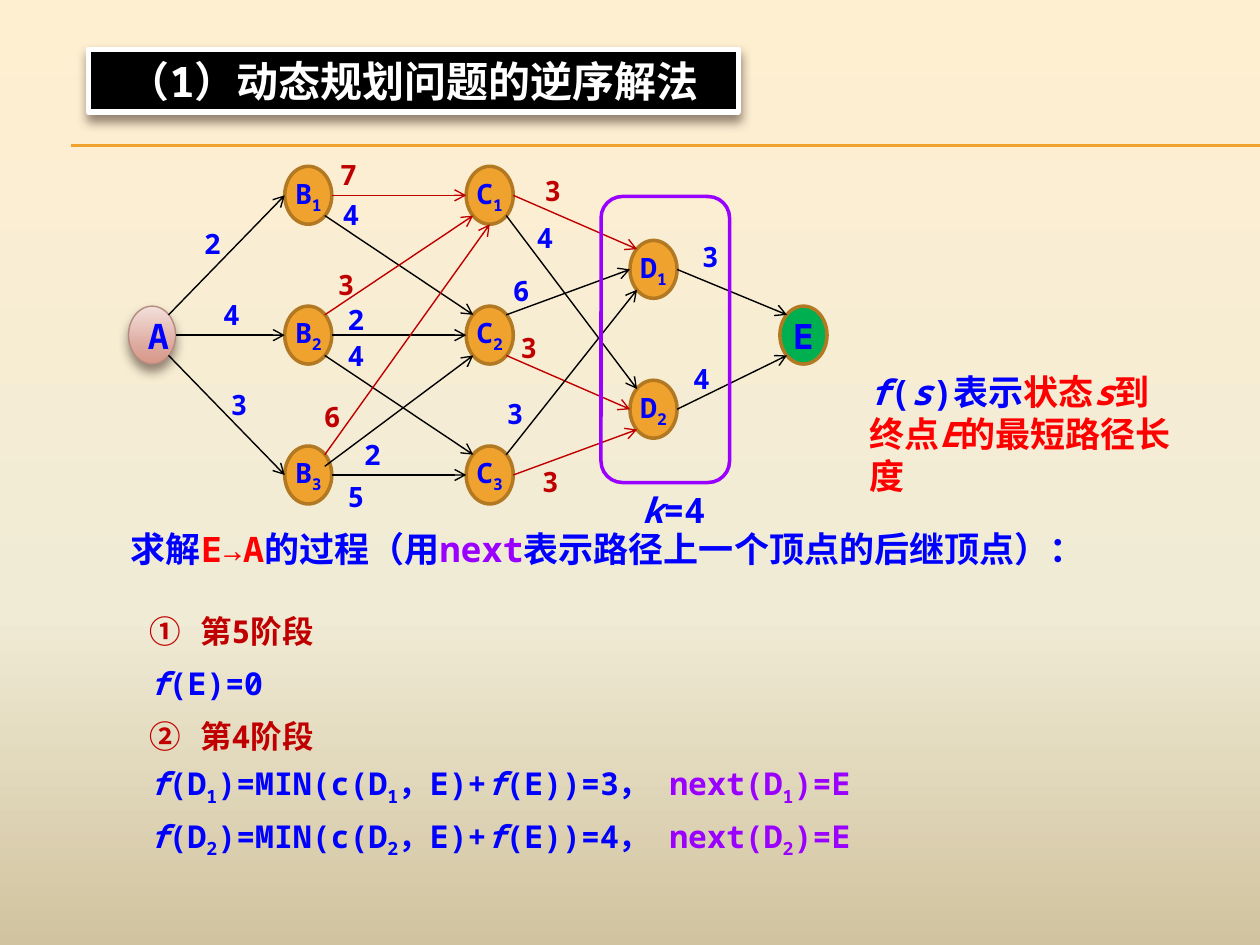
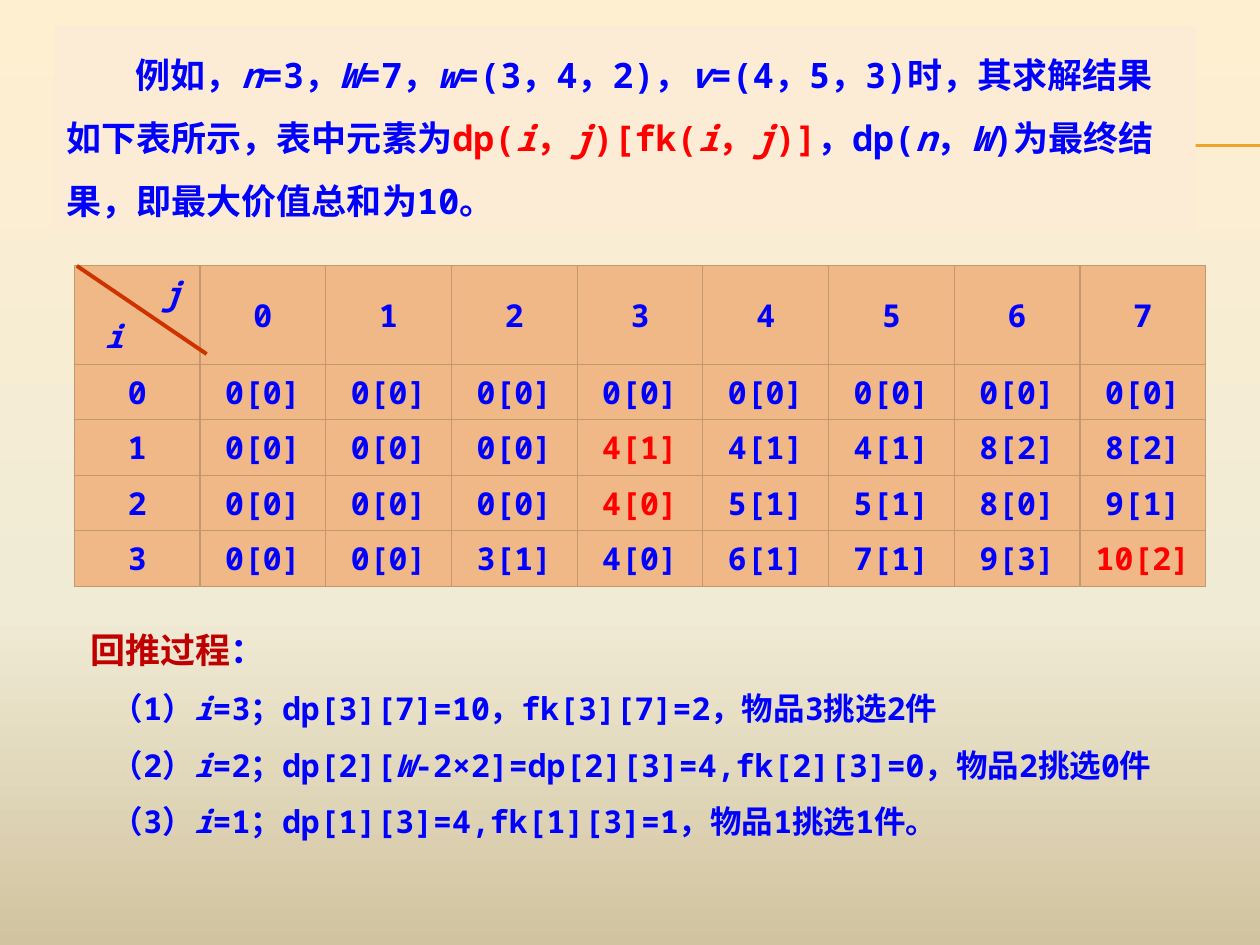
from copy import deepcopy
from lxml.etree import SubElement as Sub
from pptx import Presentation
from pptx.dml.color import RGBColor as Rgb
from pptx.enum.lang import MSO_LANGUAGE_ID as Lang
from pptx.enum.shapes import MSO_CONNECTOR as Wire, MSO_SHAPE as Form
from pptx.enum.text import MSO_ANCHOR as Anchor, PP_ALIGN as Align
from pptx.oxml.ns import qn
from pptx.util import Inches, Pt

FONT = "Noto Sans Mono"
BLUE = Rgb(0x00, 0x00, 0xFF)
RED = Rgb(0xFF, 0x00, 0x00)
DARK = Rgb(0xC0, 0x00, 0x00)
PLUM = Rgb(0x99, 0x00, 0xFF)
BLACK = Rgb(0x00, 0x00, 0x00)
WHITE = Rgb(0xFF, 0xFF, 0xFF)
GOLD = Rgb(0xF0, 0xA2, 0x2E)
BROWN = Rgb(0xB2, 0x78, 0x22)
GREEN = Rgb(0x00, 0xB0, 0x50)
ROSE = Rgb(0xB5, 0x8B, 0x80)
CREAM = Rgb(0xFC, 0xEC, 0xD5)
PEACH = Rgb(0xF0, 0xB7, 0x87)
TAN = Rgb(0xC3, 0x98, 0x6D)
RUST = Rgb(0xCC, 0x33, 0x00)
SAND = [(0, Rgb(0xFF, 0xEF, 0xD1)), (0.65, Rgb(0xF0, 0xEB, 0xD5)),
        (1, Rgb(0xD1, 0xC3, 0x9F))]
BLUSH = [(0, Rgb(0xF3, 0xE0, 0xDB)), (0.72, Rgb(0xDC, 0xA7, 0x9B)),
         (1, Rgb(0xD8, 0x97, 0x87))]

WIDE, HIGH = Inches(10), Inches(7.5)
UNIT = WIDE // 100
SPAN, TALL = 3.74, 4.6
COLS = {"A": 10.2, "B": 22.6, "C": 37, "D": 50, "E": 61.9}
TOP, STEP = 13.2, 11.1
ROWS = {"A": 1, "E": 1, "D1": 0.53, "D2": 1.53,
        **{c + str(n + 1): n for c in "BC" for n in range(3)}}
PORTS = {"e": (1, 0), "w": (-1, 0), "s": (0, 1), "ne": (0.7, -0.7),
         "se": (0.7, 0.7), "nw": (-0.7, -0.7), "sw": (-0.7, 0.7),
         "en": (0.7, -0.3)}
EDGES = [
    ("A", "ne", "B1", "w", 2, 16.2, 18, BLUE),
    ("A", "e", "B2", "w", 4, 17.7, 23.6, BLUE),
    ("A", "se", "B3", "w", 3, 18.3, 30.8, BLUE),
    ("B1", "e", "C1", "w", 7, 27, 12.5, DARK),
    ("B1", "se", "C2", "nw", 4, 27.2, 15.7, BLUE),
    ("B2", "ne", "C1", "sw", 3, 26.8, 21.2, DARK),
    ("B2", "e", "C2", "w", 2, 27.6, 24, BLUE),
    ("B2", "se", "C3", "nw", 4, 27.6, 26.9, BLUE),
    ("B3", "ne", "C1", "s", 6, 25.7, 31.7, DARK),
    ("B3", "en", "C2", "sw", 2, 28.9, 34.7, BLUE),
    ("B3", "e", "C3", "w", 5, 27.6, 38.1, BLUE),
    ("C1", "e", "D1", "nw", 3, 43.2, 13.8, DARK),
    ("C1", "se", "D2", "nw", 4, 42.6, 17.5, BLUE),
    ("C2", "ne", "D1", "w", 6, 40.7, 21.7, BLUE),
    ("C2", "se", "D2", "w", 3, 41.3, 26.2, DARK),
    ("C3", "ne", "D1", "sw", 3, 40.2, 31.5, BLUE),
    ("C3", "e", "D2", "sw", 3, 43, 36.9, DARK),
    ("D1", "e", "E", "nw", 3, 55.7, 19, BLUE),
    ("D2", "e", "E", "sw", 4, 55, 28.7, BLUE),
]
GRID = [
    "0[0] 0[0] 0[0] 0[0] 0[0] 0[0] 0[0] 0[0]",
    "0[0] 0[0] 0[0] 4[1] 4[1] 4[1] 8[2] 8[2]",
    "0[0] 0[0] 0[0] 4[0] 5[1] 5[1] 8[0] 9[1]",
    "0[0] 0[0] 3[1] 4[0] 6[1] 7[1] 9[3] 10[2]",
]
TRACE = {(2, 4), (3, 4), (4, 8)}


def place(*units):
    return [round(u * UNIT) for u in units]


def blend(owner, fill, stops):
    fill.gradient()
    fill.gradient_angle = 270
    bands = owner._element.find(".//" + qn("a:gsLst"))
    bands.insert(1, deepcopy(bands[0]))
    for stop, (pos, hue) in zip(fill.gradient_stops, stops):
        stop.position = pos
        stop.color.rgb = hue


def add_run(para, text, size, hue, slant=False, sub=False):
    if not text:
        return
    run = para.add_run()
    run.text = text
    font = run.font
    font.name, font.size, font.bold, font.italic = FONT, Pt(size), True, slant
    font.color.rgb = hue
    font.language_id = Lang.SIMPLIFIED_CHINESE
    Sub(run._r.rPr, qn("a:ea"), typeface=FONT)
    if sub:
        run._r.rPr.set("baseline", "-25000")


def fill_line(para, parts, size, align=None, space=None, dent=0):
    """Stars switch italics on and off; an underscore lowers one letter."""
    para.alignment, para.line_spacing = align, space
    if dent:
        props = para._p.get_or_add_pPr()
        props.set("marL", "0")
        props.set("indent", str(round(dent * UNIT)))
    for text, hue in parts:
        for turn, piece in enumerate(text.split("*")):
            head, *rest = piece.split("_")
            add_run(para, head, size, hue, turn % 2)
            for low in rest:
                add_run(para, low[0], size, hue, turn % 2, True)
                add_run(para, low[1:], size, hue, turn % 2)


def write(frame, lines, size, **look):
    frame.word_wrap = True
    for n, parts in enumerate(lines):
        para = frame.add_paragraph() if n else frame.paragraphs[0]
        fill_line(para, parts, size, **look)


def add_text(slide, box, lines, size, pad=None, **look):
    frame = slide.shapes.add_textbox(*place(*box)).text_frame
    if pad is not None:
        frame.margin_left = frame.margin_right = pad
        frame.margin_top = frame.margin_bottom = pad
    write(frame, lines, size, **look)
    return frame


def paint(shape, fill=None, edge=None, thick=1):
    shape.shadow.inherit = False
    if fill is None:
        shape.fill.background()
    elif isinstance(fill, list):
        blend(shape, shape.fill, fill)
    else:
        shape.fill.solid()
        shape.fill.fore_color.rgb = fill
    if edge is None:
        shape.line.fill.background()
    else:
        shape.line.color.rgb = edge
        shape.line.width = Pt(thick)


def cast(shape):
    glow = shape._element.spPr.find(qn("a:effectLst"))
    drop = Sub(glow, qn("a:outerShdw"), blurRad=str(Pt(6)), dist=str(Pt(4)),
               dir="5400000", rotWithShape="0")
    tint = Sub(drop, qn("a:srgbClr"), val="4E3B30")
    Sub(tint, qn("a:alpha"), val="60000")


def add_line(slide, start, end, hue, thick, arrow=False):
    wire = slide.shapes.add_connector(Wire.STRAIGHT, *place(*start, *end))
    wire.line.color.rgb = hue
    wire.line.width = Pt(thick)
    props = wire._element.spPr
    if arrow:
        Sub(props.find(qn("a:ln")), qn("a:tailEnd"), type="arrow")
    Sub(props, qn("a:effectLst"))


def add_page(deck, layout):
    slide = deck.slides.add_slide(deck.slide_layouts[layout])
    blend(slide, slide.background.fill, SAND)
    for y in (11.5, 11.6):
        add_line(slide, (5.6, y), (100, y), GOLD, 0.75)
    return slide


def add_title(slide, text, box):
    title = slide.shapes.title
    title.left, title.top, title.width, title.height = place(*box)
    paint(title, BLACK, WHITE, 3)
    cast(title)
    title.text_frame.vertical_anchor = Anchor.MIDDLE
    write(title.text_frame, [[(text, WHITE)]], 24, align=Align.CENTER)


def corner(name):
    return COLS[name[0]], TOP + STEP * ROWS[name]


def port(name, side):
    x, y = corner(name)
    dx, dy = PORTS[side]
    return x + SPAN / 2 * (1 + dx), y + TALL / 2 * (1 + dy)


def add_node(slide, name):
    node = slide.shapes.add_shape(Form.OVAL, *place(*corner(name), SPAN, TALL))
    frame = node.text_frame
    frame.vertical_anchor = Anchor.MIDDLE
    if name == "A":
        paint(node, BLUSH, ROSE, 0.79)
        cast(node)
    else:
        paint(node, GREEN if name == "E" else GOLD, BROWN, 2)
        frame.margin_left = frame.margin_right = 0
    label, size = (name, 20) if len(name) == 1 else ("_".join(name), 16)
    write(frame, [[(label, BLUE)]], size, align=Align.CENTER)


def add_graph(slide):
    for name in ROWS:
        add_node(slide, name)
    for a, out, b, into, cost, x, y, hue in EDGES:
        add_line(slide, port(a, out), port(b, into),
                 DARK if hue == DARK else BLACK, 0.79, True)
        add_text(slide, (x, y, 1.9, 2.7), [[(str(cost), hue)]], 16, pad=0)
    stage = slide.shapes.add_shape(Form.ROUNDED_RECTANGLE,
                                   *place(47.7, 15.6, 10.2, 22.7))
    paint(stage, None, PLUM, 2)
    add_text(slide, (50, 38.3, 7, 4.4), [[("*k*=4", BLUE)]], 20)


def frame_cell(cell):
    props = cell._tc.get_or_add_tcPr()
    for n, side in enumerate(("lnL", "lnR", "lnT", "lnB")):
        edge = Sub(props, qn("a:" + side), w=str(Pt(0.79)))
        Sub(Sub(edge, qn("a:solidFill")), qn("a:srgbClr"), val=str(TAN))
        props.insert(n, edge)


def add_grid(slide, box):
    rows = [["", *"01234567"]]
    rows += [[str(n), *row.split()] for n, row in enumerate(GRID)]
    table = slide.shapes.add_table(len(rows), len(rows[0]), *place(*box)).table
    table.first_row = table.horz_banding = False
    for r, row in enumerate(rows):
        table.rows[r].height = place(4 if r else 7)[0]
        for c, text in enumerate(row):
            cell = table.cell(r, c)
            cell.fill.solid()
            cell.fill.fore_color.rgb = PEACH
            cell.vertical_anchor = Anchor.MIDDLE
            frame_cell(cell)
            hue = RED if (r, c) in TRACE else BLUE
            fill_line(cell.text_frame.paragraphs[0], [(text, hue)], 18,
                      align=Align.CENTER)
    head = table.cell(0, 0).text_frame
    fill_line(head.paragraphs[0], [("*j*", BLUE)], 18, dent=6)
    fill_line(head.add_paragraph(), [("*i*", BLUE)], 18, dent=1.4)
    x, y = box[:2]
    add_line(slide, (x + 0.2, y), (x + 10.5, y + 7), RUST, 2.25)


def build_stages(deck):
    slide = add_page(deck, 5)
    add_title(slide, "（1）动态规划问题的逆序解法", (7, 3.9, 51.6, 5))
    add_text(slide, (9.4, 41.4, 87.5, 4.4),
             [[("求解", BLUE), ("E→A", RED), ("的过程（用", BLUE), ("next", PLUM),
               ("表示路径上一个顶点的后继顶点）：", BLUE)]], 20)
    add_graph(slide)
    steps = [[("① 第5阶段", DARK)], [("*f*(E)=0", BLUE)], [("② 第4阶段", DARK)]]
    for n, best in ((1, 3), (2, 4)):
        steps.append([(f"*f*(D_{n})=MIN(c(D_{n}，E)+*f*(E))={best}， ", BLUE),
                      (f"next(D_{n})=E", PLUM)])
    add_text(slide, (10.9, 46.9, 61.7, 22), steps, 18, space=Pt(30))
    add_text(slide, (68, 28.9, 26.6, 7.7),
             [[("*f*(*s*)表示", BLUE), ("状态*s*到终点*E*的最短路径长度", RED)]], 20)


def build_table(deck):
    slide = add_page(deck, 6)
    panel = slide.shapes.add_shape(Form.RECTANGLE, *place(4.3, 2.1, 90.6, 16.2))
    paint(panel, CREAM)
    panel.text_frame.vertical_anchor = Anchor.TOP
    write(panel.text_frame,
          [[("例如，*n*=3，*W*=7，*w*=(3，4，2)，*v*=(4，5，3)时，"
             "其求解结果如下表所示，表中元素为", BLUE),
            ("dp(*i*，*j*)[fk(*i*，*j*)]", RED),
            ("，dp(*n*，*W*)为最终结果，即最大价值总和为10。", BLUE)]],
          20, align=Align.LEFT, space=1.5, dent=5.5)
    add_grid(slide, (5.9, 21.1, 89.8, 23))
    frame = add_text(slide, (6.2, 47.7, 90.6, 19.7),
                     [[("回推过程", DARK), ("：", BLUE)]], 20, space=1.5)
    for text in ("（1）*i*=3；dp[3][7]=10，fk[3][7]=2，物品3挑选2件",
                 "（2）*i*=2；dp[2][*W*-2×2]=dp[2][3]=4,fk[2][3]=0，物品2挑选0件",
                 "（3）*i*=1；dp[1][3]=4,fk[1][3]=1，物品1挑选1件。"):
        fill_line(frame.add_paragraph(), [(text, BLUE)], 18, space=1.5, dent=1.7)


def main():
    deck = Presentation()
    deck.slide_width, deck.slide_height = WIDE, HIGH
    build_stages(deck)
    build_table(deck)
    deck.save("out.pptx")


if __name__ == "__main__":
    main()
